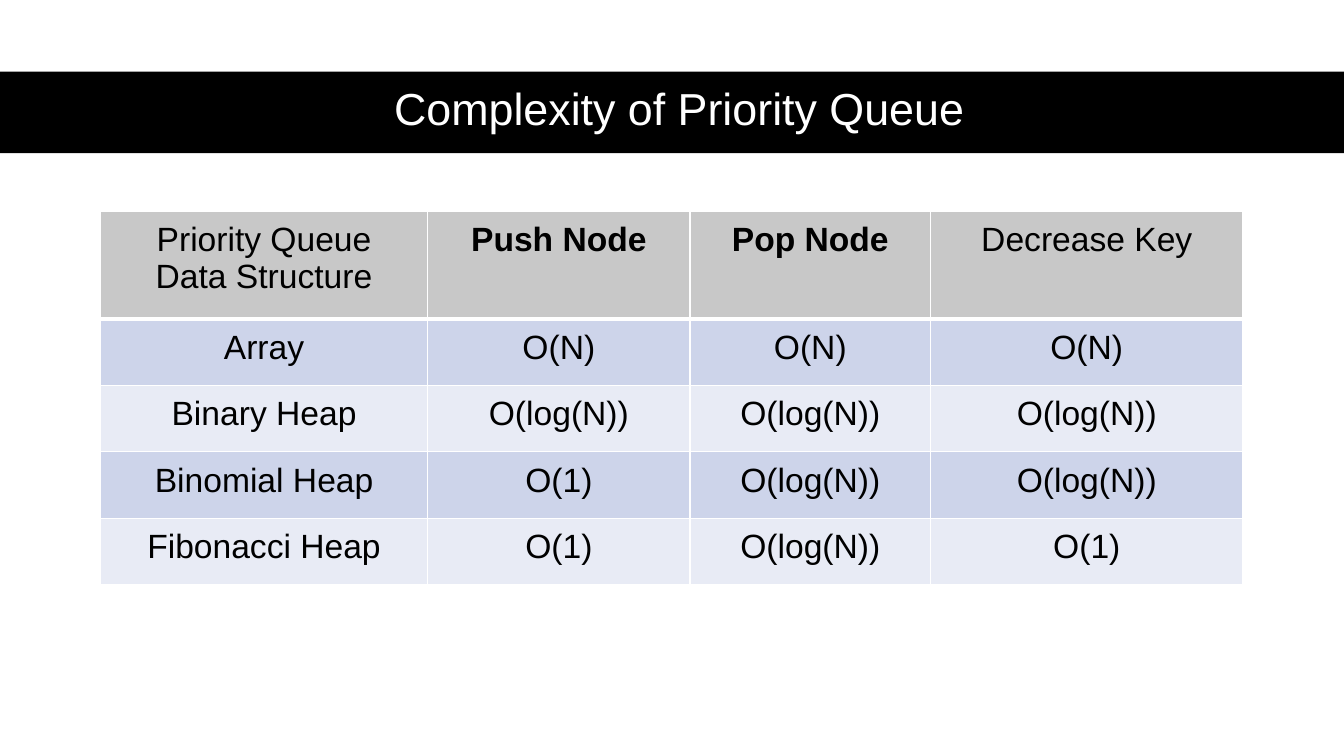
from lxml.etree import SubElement
from pptx import Presentation
from pptx.dml.color import RGBColor
from pptx.enum.shapes import MSO_SHAPE
from pptx.enum.text import MSO_ANCHOR, PP_ALIGN
from pptx.oxml.ns import qn
from pptx.util import Pt

BLACK, WHITE = "000000", "FFFFFF"
HEADER_FILL = "C8C8C8"
ROW_FILLS = ("CDD4EA", "E8EBF5")

COLUMN_WIDTHS = (234, 187.2, 172, 223)
HEADER_HEIGHT, ROW_HEIGHT = 77, 47.5
REGULAR_HEADERS = ("Priority Queue Data Structure", "Decrease Key")
COMPLEXITIES = (
    ("Priority Queue Data Structure", "Push Node", "Pop Node", "Decrease Key"),
    ("Array", "O(N)", "O(N)", "O(N)"),
    ("Binary Heap", "O(log(N))", "O(log(N))", "O(log(N))"),
    ("Binomial Heap", "O(1)", "O(log(N))", "O(log(N))"),
    ("Fibonacci Heap", "O(1)", "O(log(N))", "O(1)"),
)


def paint(fill, color):
    fill.solid()
    fill.fore_color.rgb = RGBColor.from_string(color)


def write(frame, text, size=24, color=BLACK, bold=False, spacing=1.0):
    """Put one centred paragraph into a text frame."""
    frame.word_wrap = True
    paragraph = frame.paragraphs[0]
    paragraph.alignment = PP_ALIGN.CENTER
    paragraph.line_spacing = spacing
    run = paragraph.add_run()
    run.text = text
    run.font.name = "Arial"
    run.font.size = Pt(size)
    run.font.bold = bold
    paint(run.font.fill, color)


def set_borders(cell, **widths):
    """Draw white cell borders; keys are the XML side names in schema order."""
    properties = cell._tc.get_or_add_tcPr()
    for side, width in widths.items():
        line = SubElement(properties, qn(f"a:{side}"), w=str(Pt(width)))
        solid = SubElement(line, qn("a:solidFill"))
        SubElement(solid, qn("a:srgbClr"), val=WHITE)


def add_title(slide, text):
    title = slide.shapes.title
    title.left, title.top = Pt(44), Pt(50.4)
    title.width, title.height = Pt(882.7), Pt(58.3)
    title.text_frame.vertical_anchor = MSO_ANCHOR.MIDDLE
    write(title.text_frame, text, size=32, color=WHITE, spacing=0.9)

    band = slide.shapes.add_shape(
        MSO_SHAPE.RECTANGLE, Pt(0), Pt(51.2), Pt(960), Pt(58.2))
    band.shadow.inherit = False
    band.line.fill.background()
    paint(band.fill, BLACK)
    title.element.addprevious(band.element)


def format_cell(cell, text, fill, bold, below):
    cell.margin_left = cell.margin_right = Pt(14.4)
    cell.margin_top = cell.margin_bottom = Pt(7.2)
    write(cell.text_frame, text, bold=bold)
    set_borders(cell, lnL=1, lnR=1, lnT=1 if below == 3 else below, lnB=below)
    paint(cell.fill, fill)


def add_complexity_table(slide):
    height = HEADER_HEIGHT + ROW_HEIGHT * (len(COMPLEXITIES) - 1)
    table = slide.shapes.add_table(
        len(COMPLEXITIES), len(COLUMN_WIDTHS),
        Pt(71.6), Pt(150.7), Pt(sum(COLUMN_WIDTHS)), Pt(height)).table
    for column, width in zip(table.columns, COLUMN_WIDTHS):
        column.width = Pt(width)
    for index, (row, texts) in enumerate(zip(table.rows, COMPLEXITIES)):
        is_header = index == 0
        row.height = Pt(HEADER_HEIGHT if is_header else ROW_HEIGHT)
        fill = HEADER_FILL if is_header else ROW_FILLS[(index - 1) % 2]
        for cell, text in zip(row.cells, texts):
            bold = is_header and text not in REGULAR_HEADERS
            format_cell(cell, text, fill, bold, below=3 if is_header else 1)
    for cell in table.rows[1].cells:
        cell._tc.tcPr.find(qn("a:lnT")).set("w", str(Pt(3)))


def main():
    presentation = Presentation()
    presentation.slide_width, presentation.slide_height = Pt(960), Pt(540)
    slide = presentation.slides.add_slide(presentation.slide_layouts[5])
    add_title(slide, "Complexity of Priority Queue")
    add_complexity_table(slide)
    presentation.save("out.pptx")


if __name__ == "__main__":
    main()
